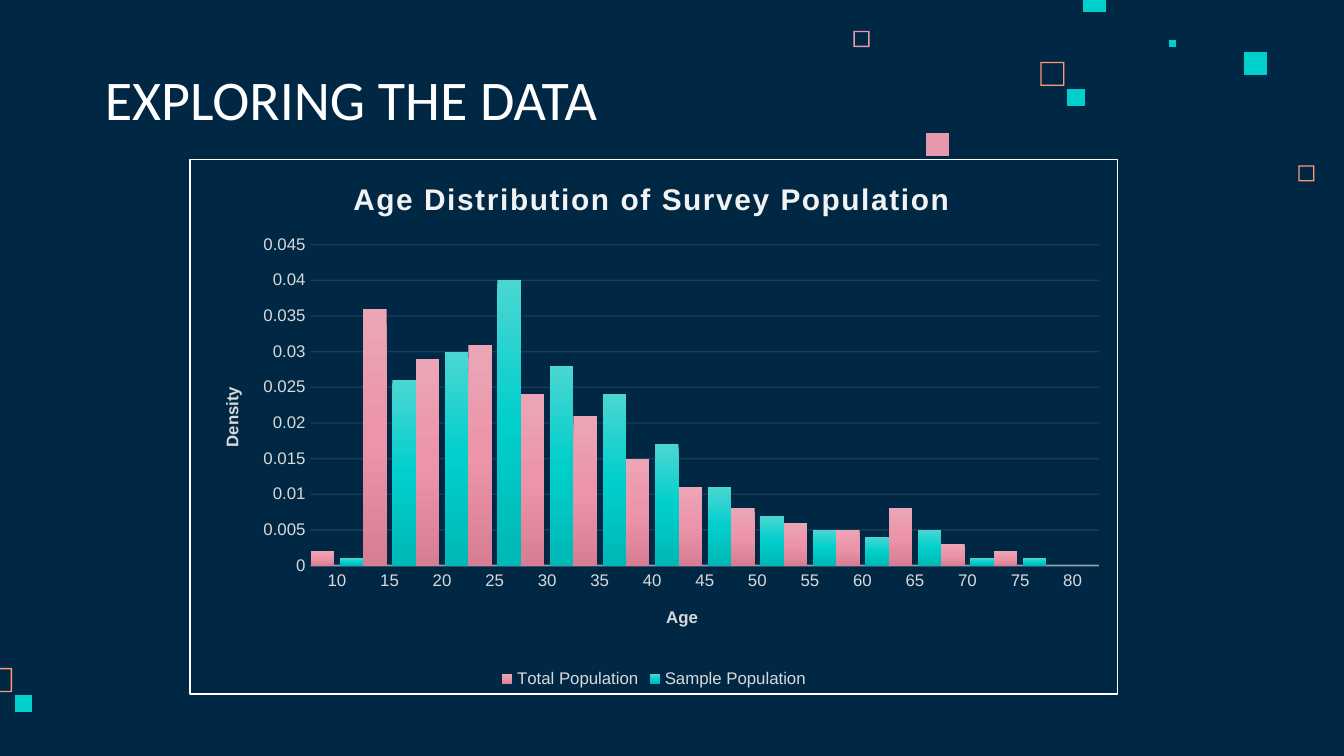
from copy import deepcopy

from lxml import etree
from pptx import Presentation
from pptx.chart.data import CategoryChartData
from pptx.dml.color import RGBColor
from pptx.enum.chart import XL_CHART_TYPE, XL_LEGEND_POSITION, XL_TICK_MARK
from pptx.enum.text import MSO_ANCHOR, MSO_AUTO_SIZE, PP_ALIGN
from pptx.oxml import parse_xml
from pptx.oxml.ns import nsdecls, qn
from pptx.util import Inches, Pt

NAVY = RGBColor(0x00, 0x28, 0x45)
WHITE = RGBColor(0xFF, 0xFF, 0xFF)
PALE = RGBColor(0xF2, 0xF2, 0xF2)
GREY = RGBColor(0xD9, 0xD9, 0xD9)
ORANGE = RGBColor(0xFF, 0x99, 0x73)
PINK = RGBColor(0xE8, 0x98, 0xAC)
TEAL = RGBColor(0x00, 0xCF, 0xCC)
PINK_RAMP = (RGBColor(0xEC, 0xA5, 0xB6), RGBColor(0xEC, 0x94, 0xAA), RGBColor(0xD7, 0x7E, 0x94))
TEAL_RAMP = (RGBColor(0x4B, 0xD6, 0xD3), TEAL, RGBColor(0x00, 0xB8, 0xB5))

TOP_RIGHT = [
    (3.31, 1.23, 0.12, ORANGE, True), (0, 0.23, 0.12, PINK, True),
    (1.39, 0.46, 0.18, ORANGE, True), (2.35, 0.3, 0.05, TEAL, False),
    (1.71, -0.08, 0.17, TEAL, False), (2.91, 0.39, 0.17, TEAL, False),
    (1.59, 0.66, 0.13, TEAL, False), (0.54, 0.99, 0.17, PINK, False),
]
BOTTOM_LEFT = [(-0.09, 0, 0.18, ORANGE, True), (0.11, 0.2, 0.13, TEAL, False)]

AGES = [str(age) for age in range(10, 81, 5)]
SERIES = [
    ("Total Population", PINK_RAMP, (0.002, 0.036, 0.029, 0.031, 0.024, 0.021, 0.015, 0.011,
                                     0.008, 0.006, 0.005, 0.008, 0.003, 0.002, 0)),
    ("Sample Population", TEAL_RAMP, (0.001, 0.026, 0.03, 0.04, 0.028, 0.024, 0.017, 0.011,
                                      0.007, 0.005, 0.004, 0.005, 0.001, 0.001, 0)),
]


def set_attrs(obj, **values):
    """Set each named attribute on an object."""
    for name, value in values.items():
        setattr(obj, name, value)


def add_square(slide, left, top, size, color, hollow):
    """Add a solid square, or a thin square ring, as a freeform."""
    x, y, side, t = (Inches(v) for v in (left, top, size, 0.01))
    far_x, far_y = x + side, y + side
    fb = slide.shapes.build_freeform(x, y)
    fb.add_line_segments([(x, far_y), (far_x, far_y), (far_x, y)])
    if hollow:
        fb.move_to(far_x - t, y + t)
        fb.add_line_segments([(far_x - t, far_y - t), (x + t, far_y - t), (x + t, y + t)])
    sp = fb.convert_to_shape()
    sp.shadow.inherit = False
    sp.fill.solid()
    sp.fill.fore_color.rgb = color
    sp.line.fill.background()


def add_squares(slide, left, top, squares):
    """Scatter squares relative to a corner point."""
    for x, y, size, color, hollow in squares:
        add_square(slide, left + x, top + y, size, color, hollow)


def add_title(slide, left, top, width, height):
    """Place and format the slide title."""
    sp = slide.shapes.title
    set_attrs(sp, left=Inches(left), top=Inches(top), width=Inches(width), height=Inches(height))
    tf = sp.text_frame
    inset = Inches(0.1)
    set_attrs(tf, text="EXPLORING THE DATA", word_wrap=True, auto_size=MSO_AUTO_SIZE.NONE,
              vertical_anchor=MSO_ANCHOR.BOTTOM, margin_left=inset, margin_right=inset,
              margin_top=inset, margin_bottom=inset)
    p = tf.paragraphs[0]
    p.alignment = PP_ALIGN.LEFT
    set_font(p.runs[0].font, 30, WHITE, name="Calibri")


def set_font(font, size, color, bold=False, name="Arial"):
    """Format a font."""
    set_attrs(font, size=Pt(size), bold=bold, name=name)
    font.color.rgb = color


def set_line(line, color, width, alpha):
    """Format a line with an opacity in percent."""
    line.width = Pt(width)
    line.color.rgb = color
    clr = line.fill._xPr.find(".//" + qn("a:srgbClr"))
    etree.SubElement(clr, qn("a:alpha"), val=str(alpha * 1000))


def set_layout(element, index, target=None, **fractions):
    """Give a chart part a manual position in fractions of the chart."""
    for old in element.findall(qn("c:layout")):
        element.remove(old)
    layout = etree.Element(qn("c:layout"))
    manual = etree.SubElement(layout, qn("c:manualLayout"))
    if target:
        etree.SubElement(manual, qn("c:layoutTarget"), val=target)
    for key in ("x", "y"):
        etree.SubElement(manual, qn(f"c:{key}Mode"), val="edge")
    for key, value in fractions.items():
        etree.SubElement(manual, qn(f"c:{key}"), val=str(value))
    element.insert(index, layout)


def set_chart_title(owner, title, text, size, color, x, y):
    """Write and place a chart or axis title."""
    owner.has_title = True
    tf = title.text_frame
    tf.text = text
    r = tf.paragraphs[0].runs[0]
    set_font(r.font, size, color, bold=True)
    set_layout(title._element, 1, x=x, y=y)
    return tf, r


def set_gradient(series, colors):
    """Fill a series with an even three-colour gradient from top to bottom."""
    fill = series.format.fill
    fill.gradient()
    fill.gradient_angle = 270
    stops = series._element.find(".//" + qn("a:gsLst"))
    stops.insert(1, deepcopy(stops[0]))
    for i, (stop, color) in enumerate(zip(fill.gradient_stops, colors)):
        stop.position = i / 2
        stop.color.rgb = color


def add_age_chart(slide, left, top, width, height):
    """Add the age distribution column chart."""
    data = CategoryChartData()
    data.categories = AGES
    for name, _, values in SERIES:
        data.add_series(name, values)
    chart = slide.shapes.add_chart(XL_CHART_TYPE.COLUMN_CLUSTERED, Inches(left), Inches(top),
                                   Inches(width), Inches(height), data).chart
    set_font(chart.font, 10, GREY)
    chart._chartSpace.find(qn("c:chart")).addnext(parse_xml(
        f'<c:spPr {nsdecls("c", "a")}><a:solidFill><a:srgbClr val="{NAVY}"/></a:solidFill>'
        f'<a:ln w="{Pt(0.75)}"><a:solidFill><a:srgbClr val="{WHITE}"/></a:solidFill></a:ln></c:spPr>'))

    plot = chart.plots[0]
    set_attrs(plot, gap_width=0, overlap=-24, vary_by_categories=False)
    for series, (_, ramp, _) in zip(plot.series, SERIES):
        set_gradient(series, ramp)
    set_layout(chart._chartSpace.find(".//" + qn("c:plotArea")), 0, "inner",
               x=0.13, y=0.16, w=0.85, h=0.6)

    _, r = set_chart_title(chart, chart.chart_title, "Age Distribution of Survey Population",
                           16, PALE, 0.17, 0.03)
    r.font._element.set("spc", "100")
    cat, val = chart.category_axis, chart.value_axis
    for axis in (cat, val):
        set_attrs(axis, major_tick_mark=XL_TICK_MARK.NONE, minor_tick_mark=XL_TICK_MARK.NONE)
        set_font(axis.tick_labels.font, 9, GREY)
    set_chart_title(cat, cat.axis_title, "Age", 9, GREY, 0.51, 0.83)
    tf, _ = set_chart_title(val, val.axis_title, "Density", 9, GREY, 0.03, 0.42)
    set_attrs(val, minimum_scale=0, maximum_scale=0.045, major_unit=0.005)
    body = tf._txBody.find(qn("a:bodyPr"))
    body.set("rot", "-5400000")
    body.set("vert", "horz")
    set_line(cat.format.line, PALE, 1, 54)
    val.format.line.fill.background()
    set_line(val.major_gridlines.format.line, PALE, 0.75, 10)

    chart.has_legend = True
    set_attrs(chart.legend, position=XL_LEGEND_POSITION.BOTTOM, include_in_layout=False)
    set_font(chart.legend.font, 9, GREY)


def main():
    """Build and save the slide."""
    prs = Presentation()
    set_attrs(prs, slide_width=Inches(10), slide_height=Inches(10 * 9 / 16))
    s = prs.slides.add_slide(prs.slide_layouts[5])
    s.background.fill.solid()
    s.background.fill.fore_color.rgb = NAVY
    add_squares(s, 6.35, 0, TOP_RIGHT)
    add_squares(s, 0, 4.97, BOTTOM_LEFT)
    add_title(s, 0.68, 0.45, 5.17, 0.63)
    add_age_chart(s, 1.41, 1.18, 6.91, 3.99)
    prs.save("out.pptx")


if __name__ == "__main__":
    main()
